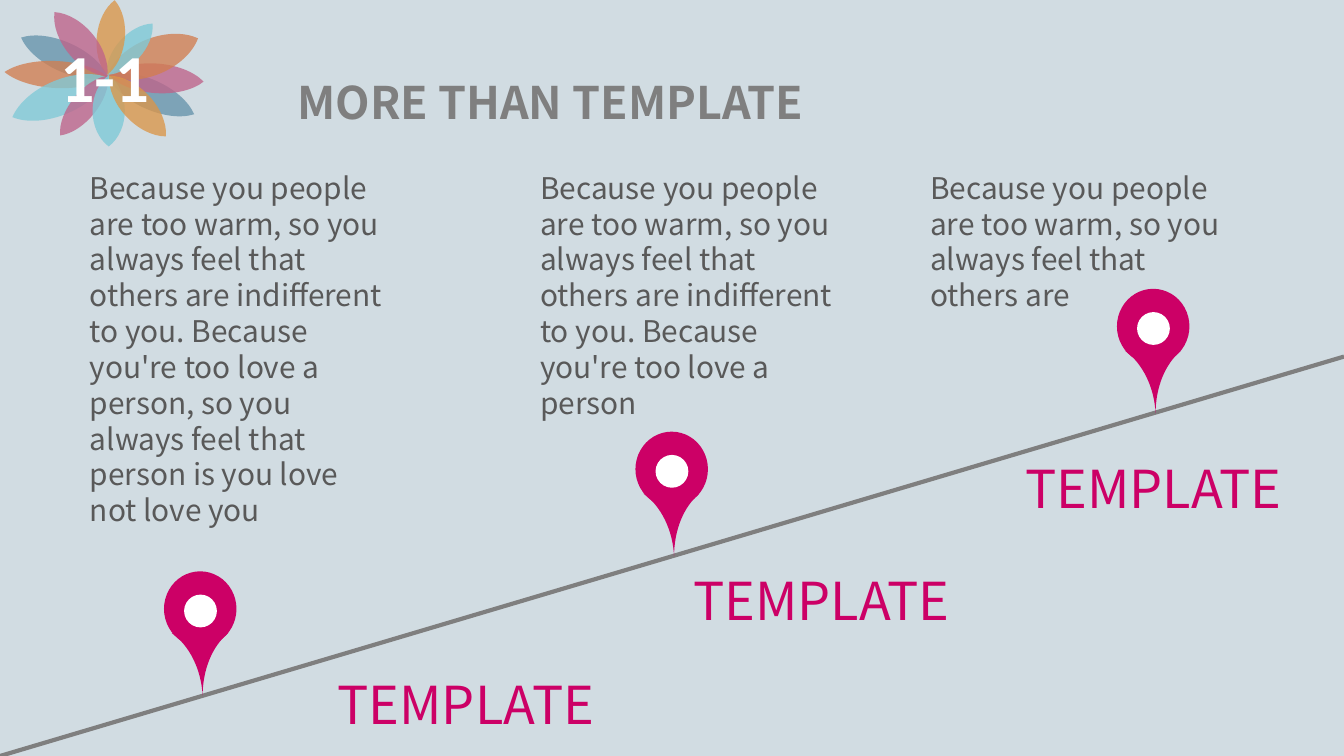
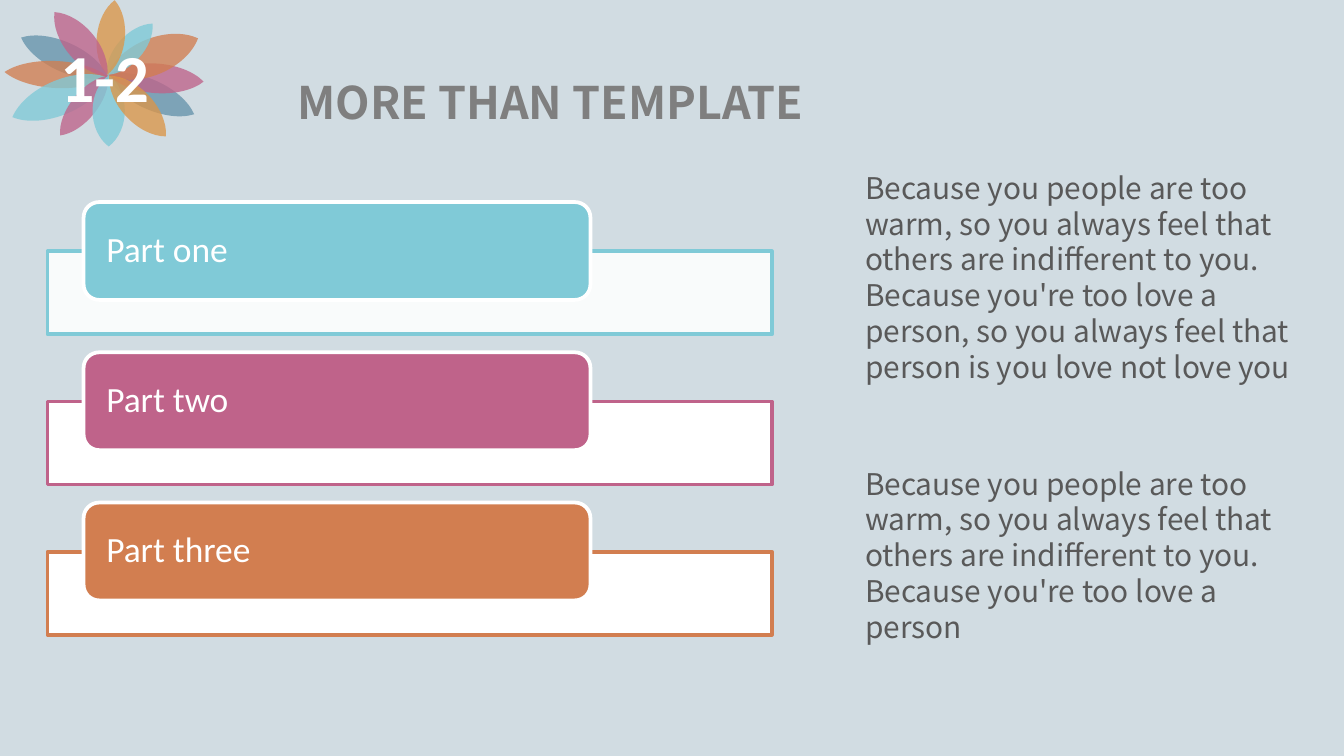
"""Build two slides with a flower badge: a rising path of pins and a list of parts."""
from dataclasses import dataclass

from lxml import etree
from pptx import Presentation
from pptx.dml.color import RGBColor
from pptx.enum.shapes import MSO_CONNECTOR, MSO_SHAPE
from pptx.enum.text import MSO_ANCHOR, MSO_AUTO_SIZE, PP_ALIGN
from pptx.oxml.ns import qn
from pptx.util import Cm, Pt

RECT, OVAL = MSO_SHAPE.RECTANGLE, MSO_SHAPE.OVAL
STRAIGHT = MSO_CONNECTOR.STRAIGHT
LEFT, CENTER = PP_ALIGN.LEFT, PP_ALIGN.CENTER
MIDDLE = MSO_ANCHOR.MIDDLE
GROW = MSO_AUTO_SIZE.SHAPE_TO_FIT_TEXT

WIDE, HIGH = 25.4, 14.29
SANS, LATIN = "Noto Sans CJK SC", "Calibri"
HUES = {
    "back": "D1DCE2", "white": "FFFFFF", "title": "7F7F7F", "body": "595959",
    "pin": "CC0066", "blue": "6694AB", "rust": "D27E50", "rose": "BF638A",
    "aqua": "80CAD7", "gold": "DB9649",
}
BRIEF = "Because you people are too warm, so you always feel that others are"
MID = BRIEF + " indifferent to you. Because you're too love a person"
FULL = MID + ", so you always feel that person is you love not love you"

Point = tuple[float, float]
Leg = tuple[Point, ...]


@dataclass(frozen=True)
class Style:
    size: float
    hue: str
    font: str = SANS
    bold: bool = False
    align: PP_ALIGN = LEFT


@dataclass(frozen=True)
class Note:
    text: str
    x: float
    y: float
    w: float
    h: float
    style: Style


@dataclass(frozen=True)
class Petal:
    x: float
    y: float
    w: float
    h: float
    turn: float
    hue: str
    alpha: int = 78


@dataclass(frozen=True)
class Part:
    text: str
    hue: str
    alpha: int = 100


BADGE = Style(36, "white", LATIN, True)
TITLE = Style(24, "title", bold=True, align=CENTER)
LABEL = Style(28, "pin", align=CENTER)
BODY = Style(16, "body")
PART = Style(19, "white", LATIN)

PETALS = [
    Petal(0.94, 0.18, 0.56, 1.8, 294.2, "blue"),
    Petal(2.57, 0.89, 0.56, 1.8, 294.2, "blue"),
    Petal(0.81, 0.43, 0.51, 1.96, 92.8, "rust"),
    Petal(2.67, 0.58, 0.56, 1.8, 274, "rose"),
    Petal(0.81, 0.86, 0.66, 1.96, 247.6, "aqua"),
    Petal(2.54, 0.15, 0.69, 1.85, 67.9, "rust"),
    Petal(1.35, 1.27, 0.48, 1.45, 218.8, "rose"),
    Petal(2.21, 0.28, 0.48, 1.3, 221.9, "aqua", 81),
    Petal(1.83, 0, 0.53, 1.42, 5.9, "gold"),
    Petal(1.75, 1.42, 0.61, 1.35, 0, "aqua", 81),
    Petal(1.24, 0.05, 0.58, 1.57, 320.5, "rose"),
    Petal(2.31, 1.22, 0.58, 1.57, 136.9, "gold"),
]
LEAF = [
    ((0.82, 0.11), (1, 0.3), (1, 0.5)),
    ((1, 0.7), (0.82, 0.89), (0.5, 1)),
    ((0.18, 0.89), (0, 0.7), (0, 0.5)),
    ((0, 0.3), (0.18, 0.11), (0.5, 0)),
]
PINS = [(3.1, 10.8), (12.01, 8.16), (21.11, 5.46)]
TAIL = [
    ((1.06, 0),),
    ((0.76, 0.25), (0.58, 0.69), (0.58, 1.19)),
    ((0.56, 0.69), (0.33, 0.23), (0, 0)),
]
PATH_NOTES = [
    Note("TEMPLATE", 18.28, 8.5, 7.04, 1.45, LABEL),
    Note("TEMPLATE", 12.02, 10.62, 7.01, 1.45, LABEL),
    Note("TEMPLATE", 5.3, 12.58, 7.01, 1.45, LABEL),
    Note(FULL, 1.45, 3.08, 6.1, 7.04, BODY),
    Note(BRIEF, 17.33, 3.08, 6.1, 2.97, BODY),
    Note(MID, 9.96, 3.08, 6.1, 5, BODY),
]
PARTS = [Part("Part one", "aqua", 89), Part("Part two", "rose"), Part("Part three", "rust")]
PART_STEP = 2.84
TURNS = [(0, -1), (1, 0), (0, 1), (-1, 0)]
PART_NOTES = [
    Note(FULL, 16.1, 3.08, 8.61, 5, BODY),
    Note(MID, 16.1, 8.67, 8.2, 3.66, BODY),
]


def tint(hue: str) -> RGBColor:
    return RGBColor.from_string(HUES[hue])


def paint(shape, hue: str, alpha: int = 100, edge: str | None = None) -> None:
    shape.shadow.inherit = False
    shape.fill.solid()
    shape.fill.fore_color.rgb = tint(hue)
    if alpha < 100:
        clr = shape.element.spPr.find(qn("a:solidFill"))[0]
        etree.SubElement(clr, qn("a:alpha"), val=str(alpha * 1000))
    if edge:
        shape.line.color.rgb = tint(edge)
        shape.line.width = Pt(2)
    else:
        shape.line.fill.background()


def add_form(shapes, kind: MSO_SHAPE, x: float, y: float, w: float, h: float,
             hue: str, alpha: int = 100, edge: str | None = None) -> None:
    shape = shapes.add_shape(kind, Cm(x), Cm(y), Cm(w), Cm(h))
    paint(shape, hue, alpha, edge)


def add_free(shapes, x: float, y: float, start: Point, legs: list[Leg],
             hue: str, alpha: int = 100, edge: str | None = None):
    def place(point: Point) -> tuple[int, int]:
        return Cm(x + point[0]), Cm(y + point[1])

    pen = shapes.build_freeform(*place(start))
    pen.add_line_segments([place(leg[-1]) for leg in legs])
    shape = pen.convert_to_shape()
    nodes = list(shape.element.spPr.iter(qn("a:lnTo")))
    for node, leg in zip(nodes, legs):
        if len(leg) == 3:
            node.tag = qn("a:cubicBezTo")
            for i, point in enumerate(leg[:2]):
                px, py = place(point)
                pull = etree.Element(qn("a:pt"), x=str(px - shape.left), y=str(py - shape.top))
                node.insert(i, pull)
    paint(shape, hue, alpha, edge)
    return shape


def write(frame, text: str, style: Style):
    frame.word_wrap = True
    para = frame.paragraphs[0]
    para.text = text
    para.alignment = style.align
    para.font.size = Pt(style.size)
    para.font.name = style.font
    para.font.bold = style.bold
    para.font.color.rgb = tint(style.hue)
    return para


def add_note(shapes, note: Note) -> None:
    box = shapes.add_textbox(Cm(note.x), Cm(note.y), Cm(note.w), Cm(note.h))
    write(box.text_frame, note.text, note.style)
    box.text_frame.auto_size = GROW


def add_petal(shapes, petal: Petal) -> None:
    legs = [tuple((px * petal.w, py * petal.h) for px, py in leg) for leg in LEAF]
    leaf = add_free(shapes, petal.x, petal.y, legs[-1][-1], legs, petal.hue, petal.alpha)
    leaf.rotation = petal.turn


def add_pin(shapes, x: float, y: float) -> None:
    group = shapes.add_group_shape().shapes
    add_form(group, OVAL, x, y, 1.37, 1.42, "pin")
    add_free(group, x + 0.15, y + 1.17, (0, 0), TAIL, "pin")
    add_form(group, OVAL, x + 0.38, y + 0.44, 0.62, 0.62, "white")


def bend(w: float, h: float, curve: float = 0.3, pull: float = 0.13) -> list[Leg]:
    legs = []
    for i, (cx, cy) in enumerate([(0, 0), (w, 0), (w, h), (0, h)]):
        (ax, ay), (bx, by) = TURNS[i], TURNS[(i + 1) % 4]
        legs.append(((cx - ax * curve, cy - ay * curve),))
        legs.append(((cx - ax * pull, cy - ay * pull),
                     (cx + bx * pull, cy + by * pull),
                     (cx + bx * curve, cy + by * curve)))
    return legs[1:] + legs[:1]


def add_part(shapes, part: Part, shift: float) -> None:
    add_form(shapes, RECT, 0.9, 4.75 + shift, 13.69, 1.57, "white", part.alpha, part.hue)
    legs = bend(9.58, 1.85)
    tab = add_free(shapes, 1.58, 3.82 + shift, legs[-1][-1], legs, part.hue, edge="white")
    frame = tab.text_frame
    frame.vertical_anchor = MIDDLE
    frame.margin_left = frame.margin_right = Cm(0.43)
    frame.margin_top = frame.margin_bottom = Cm(0.08)
    para = write(frame, part.text, PART)
    para.line_spacing = 0.9
    para.space_after = Pt(8.2)


def add_slide(deck, badge: str):
    slide = deck.slides.add_slide(deck.slide_layouts[6])
    slide.background.fill.solid()
    slide.background.fill.fore_color.rgb = tint("back")
    flower = slide.shapes.add_group_shape().shapes
    for petal in PETALS:
        add_petal(flower, petal)
    add_note(slide.shapes, Note(badge, 0.89, 0.54, 2.77, 1.78, BADGE))
    add_note(slide.shapes, Note("MORE THAN TEMPLATE", 3.41, 1.28, 13.97, 1.27, TITLE))
    return slide.shapes


def draw_path(deck) -> None:
    shapes = add_slide(deck, "1-1")
    slope = shapes.add_connector(STRAIGHT, Cm(0), Cm(HIGH), Cm(WIDE), Cm(6.74))
    slope.line.color.rgb = tint("title")
    slope.line.width = Pt(2.25)
    etree.SubElement(slope.element.spPr, qn("a:effectLst"))
    for x, y in PINS:
        add_pin(shapes, x, y)
    for note in PATH_NOTES:
        add_note(shapes, note)


def draw_parts(deck) -> None:
    shapes = add_slide(deck, "1-2")
    group = shapes.add_group_shape().shapes
    for i, part in enumerate(PARTS):
        add_part(group, part, i * PART_STEP)
    for note in PART_NOTES:
        add_note(shapes, note)


def main() -> None:
    deck = Presentation()
    deck.slide_width, deck.slide_height = Cm(WIDE), Cm(HIGH)
    draw_path(deck)
    draw_parts(deck)
    deck.save("out.pptx")


if __name__ == "__main__":
    main()
